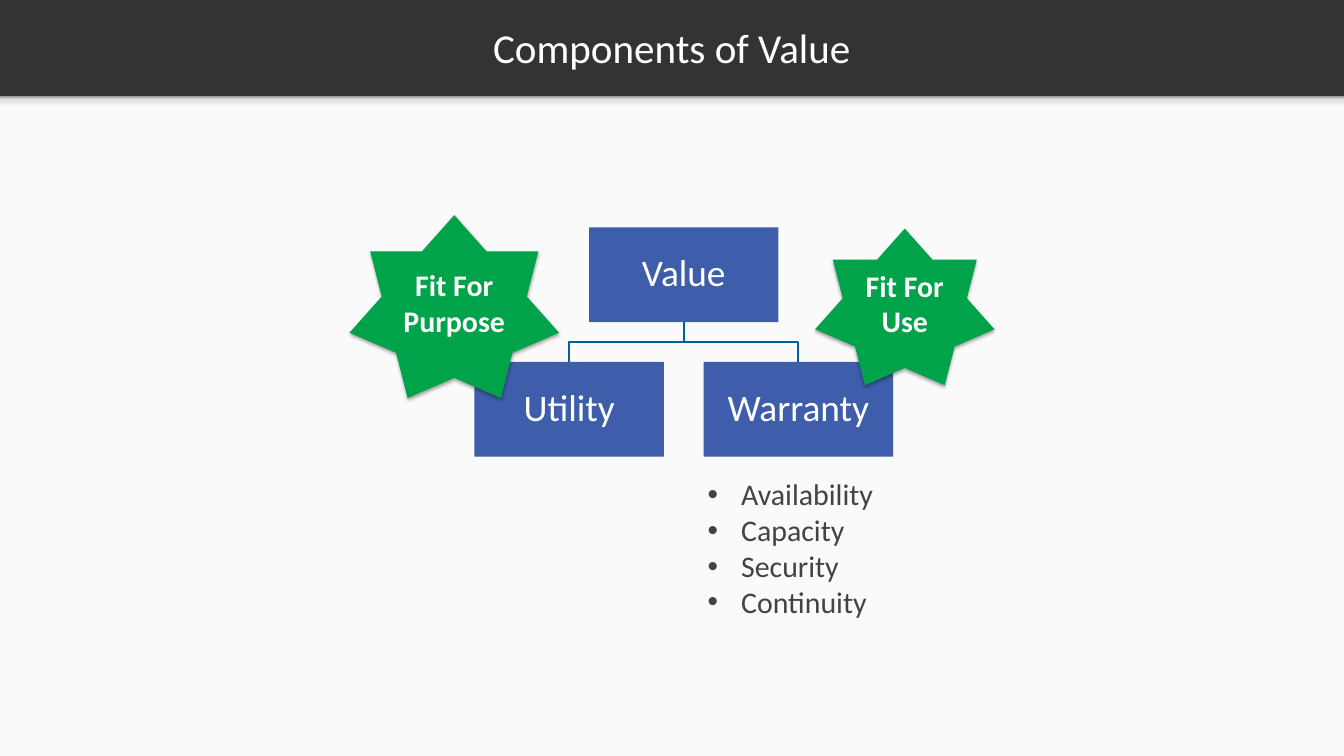
from lxml import etree
from pptx import Presentation
from pptx.dml.color import RGBColor
from pptx.enum.shapes import MSO_SHAPE
from pptx.enum.text import MSO_ANCHOR, PP_ALIGN
from pptx.oxml import parse_xml
from pptx.oxml.ns import qn
from pptx.util import Inches, Pt

RECTANGLE = MSO_SHAPE.RECTANGLE
STAR = MSO_SHAPE.STAR_7_POINT
MIDDLE, TOP = MSO_ANCHOR.MIDDLE, MSO_ANCHOR.TOP
CENTER, LEFT = PP_ALIGN.CENTER, PP_ALIGN.LEFT
DRAWING_NS = "http://schemas.openxmlformats.org/drawingml/2006/main"

SLIDE_WIDTH, SLIDE_HEIGHT = Pt(1440), Pt(809.5)
WIDTH, HEIGHT = SLIDE_WIDTH.inches, SLIDE_HEIGHT.inches
FONT = "Calibri"
DARK, PAPER, WHITE, INK = "333333", "FAFAFA", "FFFFFF", "434343"
BLUE, LINK, GREEN = "3E5DAA", "025F97", "00A349"
EDGE_STOPS = [(0, "F9F9F9"), (36, "F9F9F9"), (80, "DEDEDE"), (100, "999999")]


def color(hex_string):
    return RGBColor.from_string(hex_string)


def add_block(slide, box, fill, preset=RECTANGLE):
    block = slide.shapes.add_shape(preset, *map(Inches, box))
    block.shadow.inherit = False
    block.fill.solid()
    block.fill.fore_color.rgb = color(fill)
    block.line.fill.background()
    return block


def write(shape, lines, size, ink=WHITE, bold=False, align=CENTER,
          anchor=MIDDLE, inset=None, wrap=True):
    frame = shape.text_frame
    frame.word_wrap = wrap
    frame.vertical_anchor = anchor
    if inset is not None:
        frame.margin_left = frame.margin_right = Inches(inset)
        frame.margin_top = frame.margin_bottom = Inches(inset)
    frame.text = "\n".join(lines)
    for paragraph in frame.paragraphs:
        paragraph.alignment = align
        font = paragraph.font
        font.name, font.size, font.bold = FONT, Pt(size), bold
        font.color.rgb = color(ink)
    return frame


def add_header(slide, box, title):
    """Dark title band, the paper below it and the soft edge between them."""
    left, top, width, height = box
    add_block(slide, (left, top + height, width, HEIGHT - height), PAPER)

    edge = add_block(slide, (left, top + height, width, 0.24), PAPER)
    stops = "".join(f'<a:gs pos="{share * 1000}"><a:srgbClr val="{tone}"/></a:gs>'
                    for share, tone in EDGE_STOPS)
    gradient = parse_xml(f'<a:gradFill xmlns:a="{DRAWING_NS}"><a:gsLst>{stops}</a:gsLst>'
                         '<a:lin ang="16200000" scaled="0"/></a:gradFill>')
    properties = edge._element.spPr
    properties.replace(properties.find(qn("a:solidFill")), gradient)

    margin = 0.23
    heading = slide.shapes.add_textbox(
        Inches(left + margin), Inches(top + 0.04),
        Inches(width - 2 * margin), Inches(1.32))
    write(heading, [title], 44, inset=0.2)


def add_link(slide, start, end):
    """Stepped line from the foot of a parent to the head of a child."""
    (x1, y1), (x2, y2) = start, end
    middle = (y1 + y2) / 2
    builder = slide.shapes.build_freeform(Inches(x1), Inches(y1))
    builder.add_line_segments(
        [(Inches(x), Inches(y)) for x, y in [(x1, middle), (x2, middle), (x2, y2)]],
        close=False)
    link = builder.convert_to_shape()
    link.shadow.inherit = False
    link.fill.background()
    link.line.color.rgb = color(LINK)
    link.line.width = Pt(2)


def add_hierarchy(slide, box, parent, children):
    """Parent centred over a row of children, with gaps of equal size."""
    left, top, width, height = box
    gap = 0.59
    node_height = (height - gap) / 2
    node_width = (width - gap * (len(children) - 1)) / len(children)
    center = left + width / 2
    child_top = top + node_height + gap
    lefts = [left + i * (node_width + gap) for i in range(len(children))]

    for child_left in reversed(lefts):
        add_link(slide, (center, top + node_height),
                 (child_left + node_width / 2, child_top))

    nodes = [(parent, center - node_width / 2, top)]
    nodes += [(child, x, child_top) for child, x in zip(children, lefts)]
    for label, x, y in nodes:
        node = add_block(slide, (x, y, node_width, node_height), BLUE)
        frame = write(node, [label], 40, inset=0.04)
        frame.paragraphs[0].line_spacing = 0.9


def add_badge(slide, box, label):
    """Green star with a soft shadow beneath it."""
    badge = add_block(slide, box, GREEN, STAR)
    write(badge, [label], 32, bold=True)
    effects = badge._element.spPr.find(qn("a:effectLst"))
    shadow = etree.SubElement(effects, qn("a:outerShdw"), blurRad=str(Pt(3.5)),
                              dist=str(Pt(2.2)), dir="5400000", rotWithShape="0")
    tone = etree.SubElement(shadow, qn("a:srgbClr"), val="000000")
    etree.SubElement(tone, qn("a:alpha"), val="32000")


def add_bullets(slide, box, items):
    bullets = slide.shapes.add_textbox(*map(Inches, box))
    frame = write(bullets, items, 32, ink=INK, align=LEFT, anchor=TOP, wrap=False)
    for paragraph in frame.paragraphs:
        properties = paragraph._p.get_or_add_pPr()
        properties.set("marL", str(Inches(0.5)))
        properties.set("indent", str(Inches(-0.5)))
        bullet_font = parse_xml(f'<a:buFont xmlns:a="{DRAWING_NS}" typeface="Arial"/>')
        bullet = parse_xml(f'<a:buChar xmlns:a="{DRAWING_NS}" char="•"/>')
        properties.insert(0, bullet_font)
        properties.insert(1, bullet)


def main():
    deck = Presentation()
    deck.slide_width, deck.slide_height = SLIDE_WIDTH, SLIDE_HEIGHT
    slide = deck.slides.add_slide(deck.slide_layouts[6])
    slide.background.fill.solid()
    slide.background.fill.fore_color.rgb = color(DARK)

    add_header(slide, (0, 0, WIDTH, 1.43), "Components of Value")
    add_hierarchy(slide, (7.06, 3.38, 6.23, 3.41), "Value", ["Utility", "Warranty"])
    add_badge(slide, (5.2, 3.2, 3.12, 2.72), "Fit For Purpose")
    add_badge(slide, (12.13, 3.4, 2.67, 2.33), "Fit For Use")
    add_bullets(slide, (10.43, 7.03, 2.79, 2.26),
                ["Availability", "Capacity", "Security", "Continuity"])

    deck.save("out.pptx")


if __name__ == "__main__":
    main()
